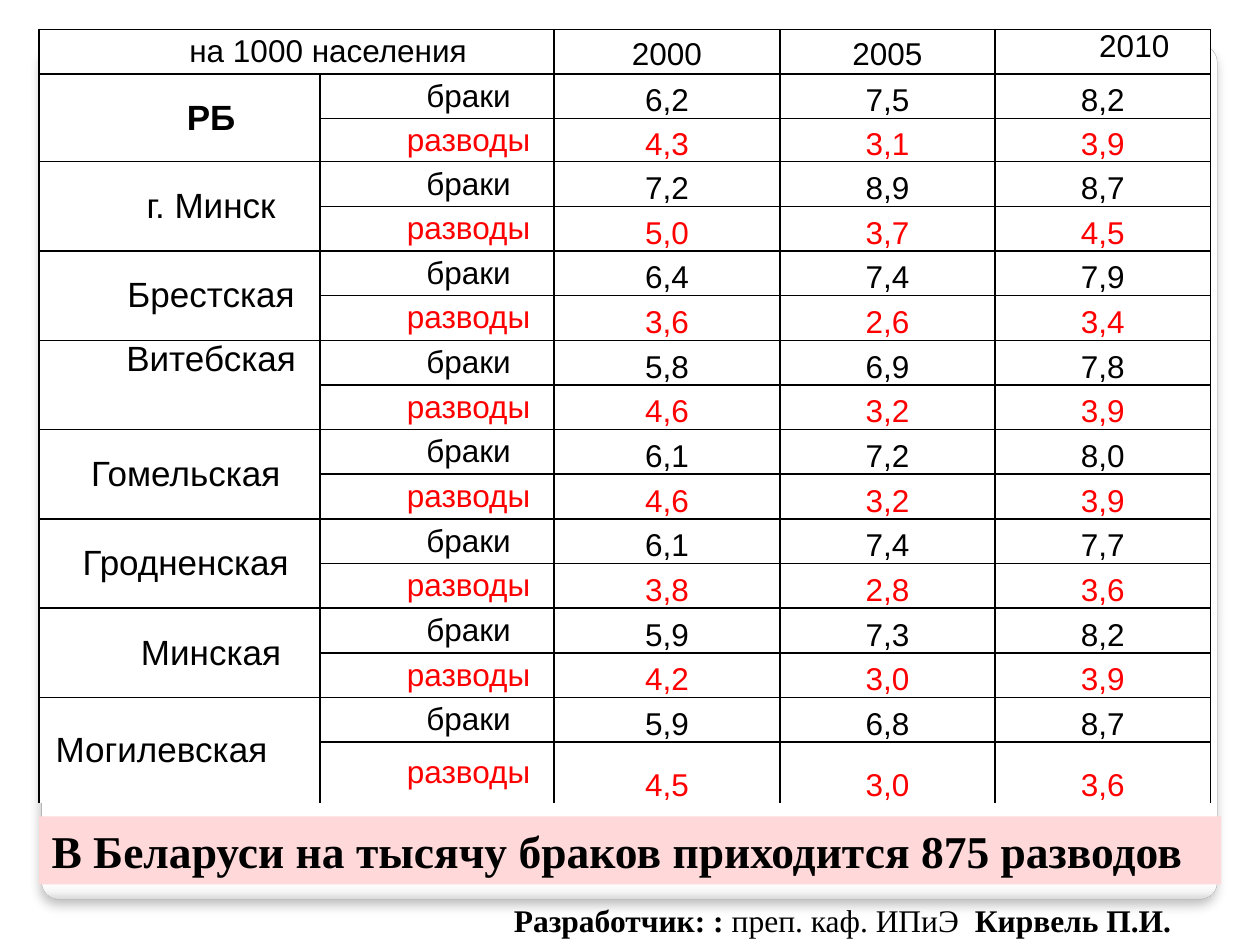
from lxml import etree
from pptx import Presentation, util as u
from pptx.dml.color import RGBColor
from pptx.enum import shapes, text
from pptx.oxml import parse_xml
from pptx.oxml.ns import nsdecls, qn

CENTER, JUSTIFY = text.PP_ALIGN.CENTER, text.PP_ALIGN.JUSTIFY
TOP, MIDDLE, BOTTOM = (text.MSO_ANCHOR.TOP, text.MSO_ANCHOR.MIDDLE,
                       text.MSO_ANCHOR.BOTTOM)

HEADING = "на 1000 населения"
YEARS = ["2000", "2005", "2010"]
MEASURES = [("браки", "ink"), ("разводы", "accent")]
REGIONS = [  # name, marriages by year, divorces by year
    ("РБ", "6,2 7,5 8,2", "4,3 3,1 3,9"),
    ("г. Минск", "7,2 8,9 8,7", "5,0 3,7 4,5"),
    ("Брестская", "6,4 7,4 7,9", "3,6 2,6 3,4"),
    ("Витебская", "5,8 6,9 7,8", "4,6 3,2 3,9"),
    ("Гомельская", "6,1 7,2 8,0", "4,6 3,2 3,9"),
    ("Гродненская", "6,1 7,4 7,7", "3,8 2,8 3,6"),
    ("Минская", "5,9 7,3 8,2", "4,2 3,0 3,9"),
    ("Могилевская", "5,9 6,8 8,7", "4,5 3,0 3,6"),
]
REGION_FORMATS = {  # regions that differ from the common layout
    "РБ": {"bold": True},
    "Витебская": {"anchor": TOP},
    "Гомельская": {"indent": 0.25},
    "Гродненская": {"indent": 0.25},
    "Могилевская": {"indent": 0.25, "align": JUSTIFY},
}
CONCLUSION = [("В Беларуси на тысячу браков приходится 875 разводов", True)]
CREDIT = [("Разработчик: : ", True), ("преп. каф. ИПиЭ  ", False),
          ("Кирвель П.И.", True)]

THEME = {
    "ink": "000000", "accent": "FF0000", "paper": "FFFFFF", "banner": "FFD9D9",
    "frame": "A4A4A4",
    "frame_stops": [(0, "FFFFFF"), (98, "FFFFFF"), (99, "F7F7F7"), (100, "DADADA")],
    "table_font": "Arial", "note_font": "Times New Roman",
    "region": 20, "body": 18, "conclusion": 26,
}
COLUMNS = [5.66, 4.72, 4.55, 4.34, 4.34]
ROW, FIRST_DIVORCES, LAST_ROW = 0.9, 0.87, 1.23
FIRST_LINE = 1.27


def color(name):
    return RGBColor.from_string(THEME[name])


def style(font, **values):
    font.color.rgb = color(values.pop("color", "ink"))
    for name, value in values.items():
        setattr(font, name, value)


def draw_frame(page):
    frame = page.shapes.add_shape(shapes.MSO_SHAPE.ROUNDED_RECTANGLE, u.Cm(0.84),
                                  u.Cm(0.91), u.Cm(23.7), u.Cm(17.22))
    frame.adjustments[0] = 0.02
    frame.line.color.rgb = color("frame")
    frame.line.width = u.Pt(0.16)
    frame.fill.gradient()
    frame.fill.gradient_angle = 270
    properties = frame._element.spPr
    stops = properties.find(".//" + qn("a:gsLst"))
    for stop in list(stops):
        stops.remove(stop)
    for percent, value in THEME["frame_stops"]:
        stop = etree.SubElement(stops, qn("a:gs"), pos=str(percent * 1000))
        etree.SubElement(stop, qn("a:srgbClr"), val=value)
    properties.append(parse_xml(
        f'<a:effectLst {nsdecls("a")}><a:outerShdw blurRad="{u.Pt(6)}" '
        f'dist="{u.Pt(4)}" dir="5400000" algn="t" rotWithShape="0">'
        '<a:srgbClr val="000000"><a:alpha val="25000"/></a:srgbClr>'
        '</a:outerShdw></a:effectLst>'))


def set_borders(cell, sides):
    """Rule the sides named in order L, R, T, B and clear the others."""
    properties = cell._tc.get_or_add_tcPr()
    for place, side in enumerate("LRTB"):
        paint = (f'<a:solidFill><a:srgbClr val="{THEME["ink"]}"/></a:solidFill>'
                 if side in sides else "<a:noFill/>")
        properties.insert(place, parse_xml(
            f'<a:ln{side} {nsdecls("a")} w="{u.Pt(1)}">{paint}</a:ln{side}>'))


def write_cell(cell, words, anchor=MIDDLE, align=CENTER, indent=FIRST_LINE,
               size=THEME["body"], color="ink", bold=False):
    cell.text = words
    cell.vertical_anchor = anchor
    para = cell.text_frame.paragraphs[0]
    para.alignment = align
    if indent:
        para._p.get_or_add_pPr().set("indent", str(u.Cm(indent)))
    else:
        para.line_spacing, para.space_after = 1.15, u.Pt(10)
    style(para.runs[0].font, name=THEME["table_font"], size=u.Pt(size),
          color=color, bold=bold)


def draw_table(page):
    heights = [ROW] * (1 + 2 * len(REGIONS))
    heights[2], heights[-1] = FIRST_DIVORCES, LAST_ROW
    table = page.shapes.add_table(len(heights), len(COLUMNS), u.Cm(0.79), u.Cm(0.59),
                                  u.Cm(sum(COLUMNS)), u.Cm(sum(heights))).table
    table.first_row = table.horz_banding = False
    for column, width in zip(table.columns, COLUMNS):
        column.width = u.Cm(width)
    for row, height in zip(table.rows, heights):
        row.height = u.Cm(height)

    table.cell(0, 0).merge(table.cell(0, 1))
    write_cell(table.cell(0, 0), HEADING)
    for column, year in enumerate(YEARS, 2):
        layout = {"anchor": TOP} if year == YEARS[-1] else {"indent": 0}
        write_cell(table.cell(0, column), year, **layout)

    for index, (region, *series) in enumerate(REGIONS):
        top = 1 + 2 * index
        table.cell(top, 0).merge(table.cell(top + 1, 0))
        write_cell(table.cell(top, 0), region, size=THEME["region"],
                   **REGION_FORMATS.get(region, {}))
        for row, ((measure, tint), values) in enumerate(zip(MEASURES, series), top):
            write_cell(table.cell(row, 1), measure, color=tint)
            for column, value in enumerate(values.split(), 2):
                write_cell(table.cell(row, column), value, anchor=BOTTOM, indent=0,
                           color=tint)

    last = len(heights) - 1
    for row in range(len(heights)):
        for column in range(len(COLUMNS)):
            cell = table.cell(row, column)
            cell.margin_left = cell.margin_right = u.Cm(0.08)
            cell.margin_top = cell.margin_bottom = 0
            cell.fill.solid()
            cell.fill.fore_color.rgb = color("paper")
            open_below = row == last or (row == last - 1 and column == 0)
            set_borders(cell, "LRT" if open_below else "LRTB")


def write_note(box, spans, size):
    frame = box.text_frame
    frame.word_wrap = True
    frame.auto_size = text.MSO_AUTO_SIZE.SHAPE_TO_FIT_TEXT
    frame.vertical_anchor = TOP
    para = frame.paragraphs[0]
    para.alignment = text.PP_ALIGN.LEFT
    for words, bold in spans:
        span = para.add_run()
        span.text = words
        style(span.font, name=THEME["note_font"], size=u.Pt(size), bold=bold)


def main():
    deck = Presentation()
    deck.slide_width, deck.slide_height = u.Cm(25.4), u.Cm(19.05)
    page = deck.slides.add_slide(deck.slide_layouts[6])
    draw_frame(page)
    draw_table(page)
    banner = page.shapes.add_shape(shapes.MSO_SHAPE.RECTANGLE, u.Cm(0.79), u.Cm(16.46),
                                   u.Cm(23.83), u.Cm(1.37))
    banner.shadow.inherit = False
    banner.fill.solid()
    banner.fill.fore_color.rgb = color("banner")
    banner.line.fill.background()
    write_note(banner, CONCLUSION, THEME["conclusion"])
    credit = page.shapes.add_textbox(u.Cm(10.11), u.Cm(18.03), u.Cm(14.1), u.Cm(1.02))
    write_note(credit, CREDIT, THEME["body"])
    deck.save("out.pptx")


if __name__ == "__main__":
    main()
